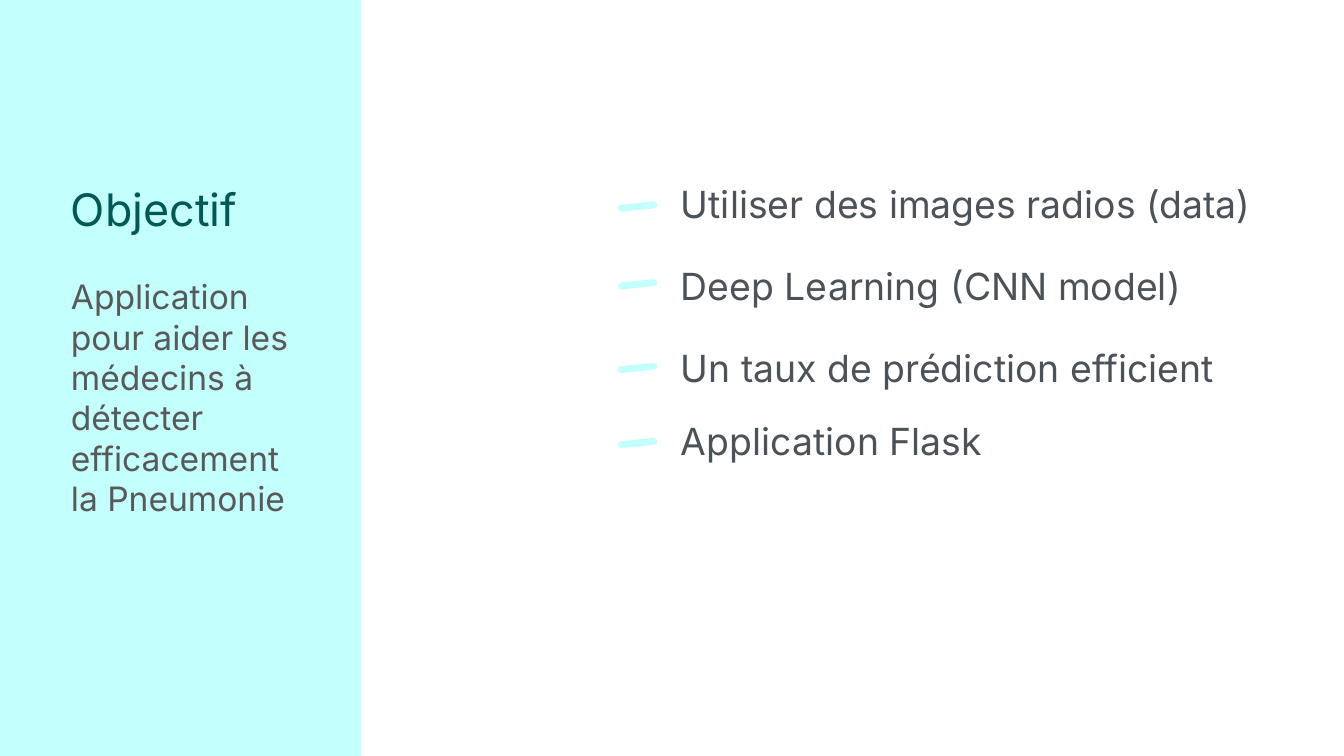
from dataclasses import dataclass

from pptx import Presentation
from pptx import util as u
from pptx.dml.color import RGBColor
from pptx.enum import shapes, text


@dataclass(frozen=True)
class Theme:
    font: str = "Inter"
    aqua: str = "C3FFFC"
    teal: str = "015955"
    gray: str = "595959"
    slate: str = "4B5258"
    head: int = 24
    body: int = 18
    item: int = 20


theme = Theme()

# Wording, top of the text and top of the dash, in cm from the list's top
GOALS = [
    ("Utiliser des images radios (data)", 0, 0.66),
    ("Deep Learning (CNN model)", 1.55, 2.13),
    ("Un taux de prédiction efficient", 3.1, 3.71),
    ("Application Flask", 4.47, 5.13),
]


def place(shape, left, top, width, height):
    shape.left, shape.top = u.Cm(left), u.Cm(top)
    shape.width, shape.height = u.Cm(width), u.Cm(height)


def frame(shape):
    """Prepare a wrapped, top-anchored text frame with even insets."""
    box = shape.text_frame
    box.word_wrap = True
    box.auto_size = text.MSO_AUTO_SIZE.NONE
    box.vertical_anchor = text.MSO_ANCHOR.TOP
    box.margin_left = box.margin_right = u.Cm(0.25)
    box.margin_top = box.margin_bottom = u.Cm(0.25)
    return box


def write(para, words, size, color, after=0):
    """Put formatted words into a paragraph."""
    para.alignment = text.PP_ALIGN.LEFT
    para.space_before = u.Pt(0)
    para.space_after = u.Pt(after)
    run = para.add_run()
    run.text = words
    run.font.name = theme.font
    run.font.size = u.Pt(size)
    run.font.color.rgb = RGBColor.from_string(color)


def block(slide, kind, left, top, width, height):
    """Add a plain aqua shape without outline or shadow."""
    shape = slide.shapes.add_shape(
        kind, u.Cm(left), u.Cm(top), u.Cm(width), u.Cm(height))
    shape.shadow.inherit = False
    shape.fill.solid()
    shape.fill.fore_color.rgb = RGBColor.from_string(theme.aqua)
    shape.line.fill.background()
    return shape


def panel(slide, left, top, width, height):
    """Side panel with the heading and its summary."""
    back = block(slide, shapes.MSO_SHAPE.RECTANGLE, left, top, width, height)
    slide.shapes._spTree.insert(2, back._element)  # behind the title

    title = slide.shapes.title
    place(title, left + 1.09, top + 3.22, width - 1.95, 9.6)
    box = frame(title)
    write(box.paragraphs[0], "Objectif", theme.head, theme.teal, after=22)
    write(box.add_paragraph(),
          "Application pour aider les médecins à détecter "
          "efficacement la Pneumonie", theme.body, theme.gray)


def goals(slide, left, top, width):
    """List of goals, each with a tilted dash."""
    for words, row, mark in GOALS:
        dash = block(slide, shapes.MSO_SHAPE.ROUNDED_RECTANGLE,
                     left, top + mark, 0.74, 0.13)
        dash.adjustments[0] = 0.5
        dash.rotation = 354.1
        label = slide.shapes.add_textbox(0, 0, 0, 0)
        place(label, left + 0.94, top + row, width - 0.94, 1.4)
        write(frame(label).paragraphs[0], words, theme.item, theme.slate)


def main():
    deck = Presentation()
    deck.slide_width, deck.slide_height = u.Cm(25.4), u.Cm(14.29)
    slide = deck.slides.add_slide(deck.slide_layouts.get_by_name("Title Only"))
    panel(slide, 0, -0.04, 6.83, 14.33)
    goals(slide, 11.68, 3.18, 14.94)
    deck.save("out.pptx")


if __name__ == "__main__":
    main()
